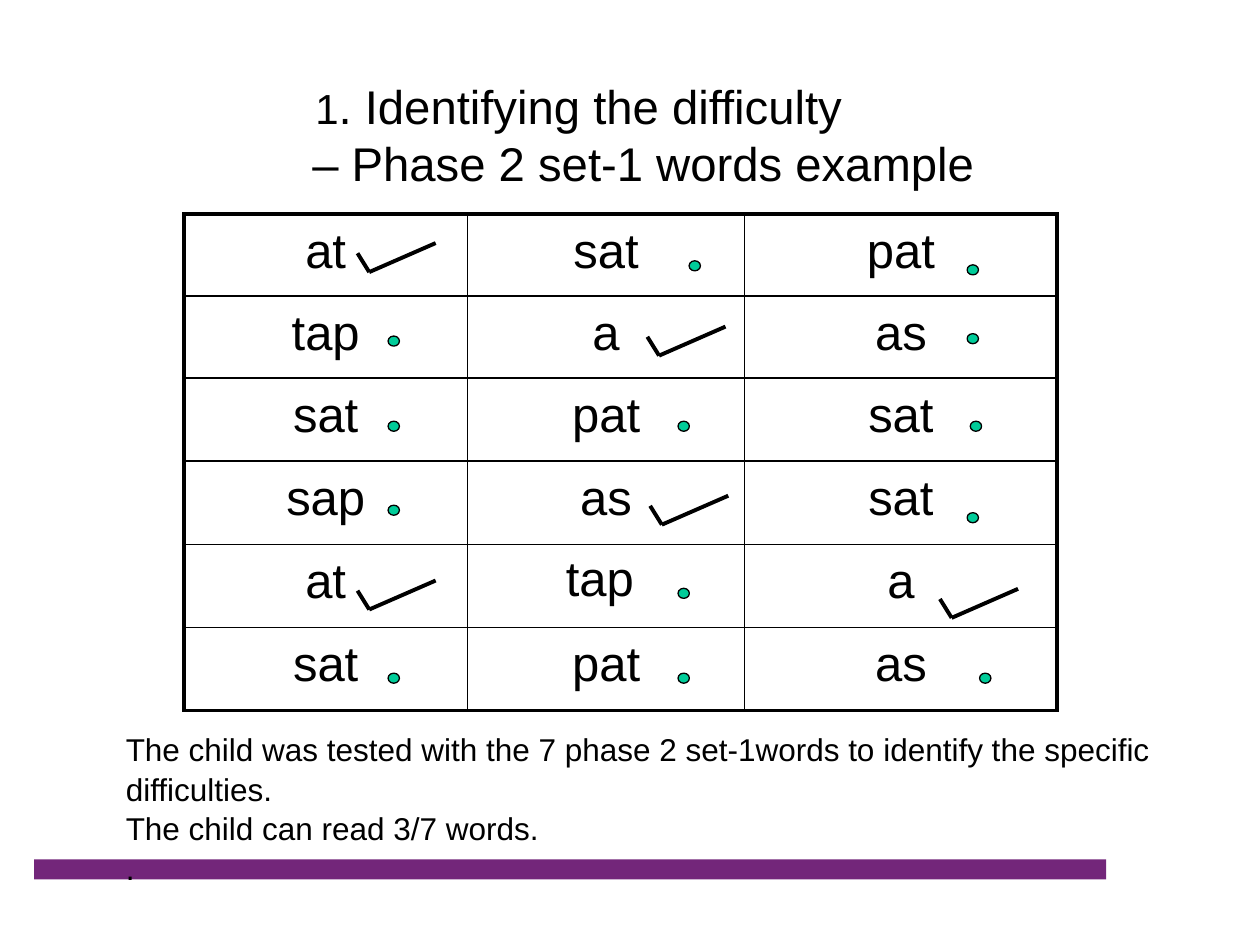
import pptx
import pptx.dml.color
import pptx.enum.shapes
import pptx.enum.text
import pptx.oxml
import pptx.oxml.ns
import pptx.util
from lxml import etree

Inches, Pt = pptx.util.Inches, pptx.util.Pt
qn = pptx.oxml.ns.qn
CENTER = pptx.enum.text.PP_ALIGN.CENTER
SHAPES = pptx.enum.shapes.MSO_SHAPE

BLACK, GREEN, PURPLE = "000000", "00CC99", "73267A"
COLUMNS = [2.25, 2.2, 2.48]
ROWS = [0.65, 0.65, 0.66, 0.66, 0.66, 0.66]
DOT_SIZE = (0.09, 0.08)
TICK_SIZE = (0.62, 0.23)
TICK_POINTS = [(1, 0), (0.15, 1), (0, 0.35)]

# Word, whether it was read, and the centre of its mark as shares of the cell
RESULTS = [
    [("at", True, 0.75, 0.53), ("sat", False, 0.82, 0.63), ("pat", False, 0.73, 0.68)],
    [("tap", False, 0.74, 0.55), ("a", True, 0.79, 0.55), ("as", False, 0.73, 0.52)],
    [("sat", False, 0.74, 0.58), ("pat", False, 0.78, 0.58), ("sat", False, 0.74, 0.58)],
    [("sap", False, 0.74, 0.59), ("as", True, 0.8, 0.59), ("sat", False, 0.73, 0.68)],
    [("at", True, 0.75, 0.61), ("tap", False, 0.78, 0.59), ("a", True, 0.75, 0.71)],
    [("sat", False, 0.74, 0.61), ("pat", False, 0.78, 0.61), ("as", False, 0.77, 0.61)],
]
CAPTION = [
    "The child was tested with the 7 phase 2 set-1words to identify the specific difficulties.",
    "The child can read 3/7 words.",
    ".",
]


def color(value):
    return pptx.dml.color.RGBColor.from_string(value)


def style_font(font, size):
    font.name = "Arial"
    font.size = Pt(size)
    font.color.rgb = color(BLACK)


def add_filled(page, kind, box, fill, line_width=None):
    shape = page.shapes.add_shape(kind, *map(Inches, box))
    shape.shadow.inherit = False
    shape.fill.solid()
    shape.fill.fore_color.rgb = color(fill)
    if line_width:
        shape.line.color.rgb = color(BLACK)
        shape.line.width = Pt(line_width)
    else:
        shape.line.fill.background()


def add_title(page, box):
    title = page.shapes.title
    title.left, title.top, title.width, title.height = map(Inches, box)
    frame = title.text_frame
    frame.auto_size = pptx.enum.text.MSO_AUTO_SIZE.NONE
    frame.vertical_anchor = pptx.enum.text.MSO_ANCHOR.MIDDLE
    para = frame.paragraphs[0]
    para.alignment = CENTER
    properties = para._p.get_or_add_pPr()
    properties.set("marL", str(Inches(0.92)))
    properties.set("indent", str(-Inches(0.92)))
    number = para.add_run()
    number.text = "1"
    heading = para.add_run()
    heading.text = ". Identifying the difficulty "
    para.add_line_break()
    subject = para.add_run()
    subject.text = "– Phase 2 set-1 words example"
    for span, size in ((number, 24), (heading, 27), (subject, 27)):
        style_font(span.font, size)


def set_borders(cell, widths):
    """Draw the sides of a cell; widths are points for left, right, top, bottom."""
    properties = cell._tc.get_or_add_tcPr()
    for side, width in zip("LRTB", widths):
        line = etree.SubElement(properties, qn(f"a:ln{side}"), w=str(Pt(width)))
        fill = etree.SubElement(line, qn("a:solidFill"))
        etree.SubElement(fill, qn("a:srgbClr"), val=BLACK)


def add_word(cell, word):
    cell.margin_left = cell.margin_right = Inches(0.11)
    cell.margin_top, cell.margin_bottom = Inches(0.08), Inches(0.05)
    cell.text_frame.text = word
    para = cell.text_frame.paragraphs[0]
    para.alignment = CENTER
    style_font(para.runs[0].font, 28)


def add_tick(page, center_x, center_y):
    width, height = TICK_SIZE
    points = [(Inches(center_x + (x - 0.5) * width), Inches(center_y + (y - 0.5) * height))
              for x, y in TICK_POINTS]
    for start, end in zip(points, points[1:]):
        stroke = page.shapes.add_connector(
            pptx.enum.shapes.MSO_CONNECTOR.STRAIGHT, *start, *end)
        stroke.line.color.rgb = color(BLACK)
        stroke.line.width = Pt(2.25)
        etree.SubElement(stroke._element.spPr, qn("a:effectLst"))


def add_dot(page, center_x, center_y):
    width, height = DOT_SIZE
    add_filled(page, SHAPES.OVAL,
               (center_x - width / 2, center_y - height / 2, width, height), GREEN, 0.75)


def add_results(page, left, top):
    """Place the table of words, then a tick or a dot beside each word."""
    table = page.shapes.add_table(
        len(ROWS), len(COLUMNS), Inches(left), Inches(top),
        Inches(sum(COLUMNS)), Inches(sum(ROWS))).table
    table.first_row = table.horz_banding = False
    for column, width in zip(table.columns, COLUMNS):
        column.width = Inches(width)
    for row, height in zip(table.rows, ROWS):
        row.height = Inches(height)
    last_row, last_column = len(ROWS) - 1, len(COLUMNS) - 1
    for r, results in enumerate(RESULTS):
        for c, (word, was_read, share_x, share_y) in enumerate(results):
            cell = table.cell(r, c)
            add_word(cell, word)
            outer = (c == 0, c == last_column, r == 0, r == last_row)
            set_borders(cell, [2.25 if edge else 1 for edge in outer])
            cell.fill.background()
            center_x = left + sum(COLUMNS[:c]) + share_x * COLUMNS[c]
            center_y = top + sum(ROWS[:r]) + share_y * ROWS[r]
            add_mark = add_tick if was_read else add_dot
            add_mark(page, center_x, center_y)
    # The second "tap" sits a little left of and above the middle
    shifted = table.cell(4, 1)
    shifted.margin_right, shifted.margin_top = Inches(0.21), Inches(0.06)


def add_caption(page, box):
    frame = page.shapes.add_textbox(*map(Inches, box)).text_frame
    frame.word_wrap = True
    frame.text = "\n".join(CAPTION)
    for para in frame.paragraphs:
        para.line_spacing = 1.05
        style_font(para.runs[0].font, 18)


def main():
    deck = pptx.Presentation()
    deck.slide_width, deck.slide_height = Inches(10), Inches(7.5)
    page = deck.slides.add_slide(deck.slide_layouts.get_by_name("Title Only"))
    add_filled(page, SHAPES.RECTANGLE, (0.27, 6.82, 8.51, 0.16), PURPLE)
    add_title(page, (0, 0.44, 9.29, 1.25))
    add_results(page, 1.46, 1.7)
    add_caption(page, (0.9, 5.73, 8.5, 1.31))
    deck.save("out.pptx")


if __name__ == "__main__":
    main()
